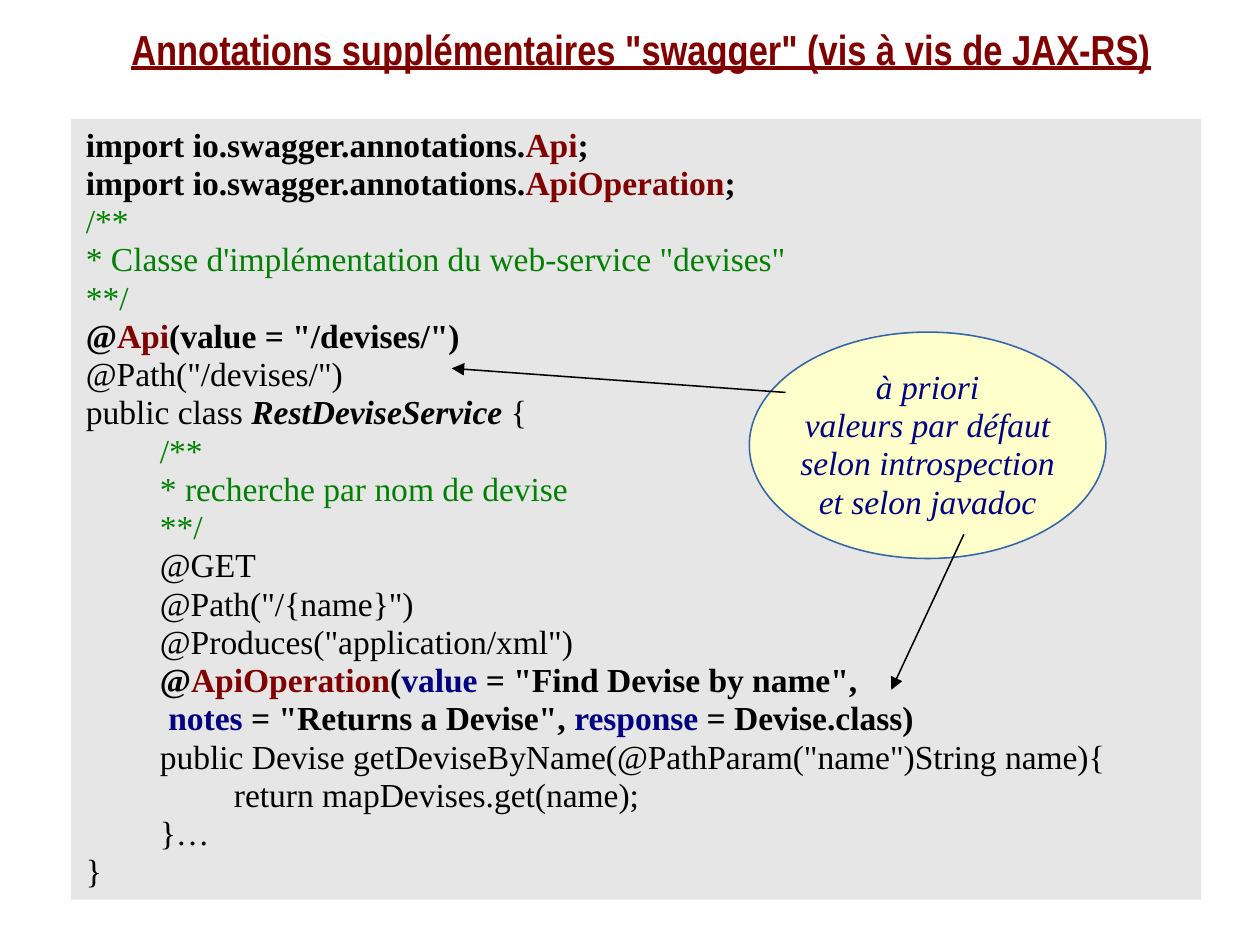
from lxml import etree
from pptx import Presentation, util as u
from pptx.dml.color import RGBColor
from pptx.enum import shapes, text
from pptx.oxml.ns import qn

COLORS = {"black": "000000", "maroon": "800000", "green": "008000", "navy": "000080",
          "grey": "E6E6E6", "cream": "FFFFCC", "blue": "3465A4"}
SERIF = {"name": "Times New Roman", "size": u.Pt(16)}
STYLES = {
    "title": ("maroon", {"name": "Arial Narrow", "size": u.Pt(20), "bold": True, "underline": True}),
    "plain": ("black", SERIF),
    "strong": ("black", {**SERIF, "bold": True}),
    "class": ("black", {**SERIF, "bold": True, "italic": True}),
    "api": ("maroon", {**SERIF, "bold": True}),
    "field": ("navy", {**SERIF, "bold": True}),
    "comment": ("green", SERIF),
    "callout": ("navy", {**SERIF, "italic": True}),
}

TITLE = [(0, [("Annotations supplémentaires \"swagger\" (vis à vis de JAX-RS)", "title")])]
CODE = [
    (0, [("import io.swagger.annotations.", "strong"), ("Api", "api"), (";", "strong")]),
    (0, [("import io.swagger.annotations.", "strong"), ("ApiOperation", "api"), (";", "strong")]),
    (0, [("/**", "comment")]),
    (0, [("* Classe d'implémentation du web-service \"devises\"", "comment")]),
    (0, [("**/", "comment")]),
    (0, [("@", "strong"), ("Api", "api"), ("(value = \"/devises/\")", "strong")]),
    (0, [("@Path(\"/devises/\")", "plain")]),
    (0, [("public class ", "plain"), ("RestDeviseService", "class"), (" {", "plain")]),
    (1, [("/**", "comment")]),
    (1, [("* recherche par nom de devise", "comment")]),
    (1, [("**/", "comment")]),
    (1, [("@GET", "plain")]),
    (1, [("@Path(\"/{name}\")", "plain")]),
    (1, [("@Produces(\"application/xml\")", "plain")]),
    (1, [("@", "strong"), ("ApiOperation", "api"), ("(", "strong"), ("value", "field"),
         (" = \"Find Devise by name\",", "strong")]),
    (1, [(" ", "strong"), ("notes", "field"), (" = \"Returns a Devise\", ", "strong"),
         ("response", "field"), (" = Devise.class)", "strong")]),
    (1, [("public Devise getDeviseByName(@PathParam(\"name\")String name){", "plain")]),
    (2, [("return mapDevises.get(name);", "plain")]),
    (1, [("}…", "plain")]),
    (0, [("}", "plain")]),
]
CALLOUT = [(0, [("à priori\nvaleurs par défaut\nselon introspection\net selon javadoc", "callout")])]

PERCENT = {"title": (10.43, 2.56, 84.53, 8.79), "code": (5.64, 12.62, 89.69, 82.59),
           "callout": (59.47, 35.14, 28.3, 23.96)}
ARROWS = [(62.35, 41.53, 35.85, 38.98), (76.5, 56.55, 70.74, 73)]
INDENT = u.Inches(0.49)

deck = Presentation()
deck.slide_width = u.Inches(8.34)
deck.slide_height = deck.slide_width * 3 // 4
page = deck.slides.add_slide(deck.slide_layouts[6])


def place(shares):
    sizes = (deck.slide_width, deck.slide_height) * 2
    return [round(size * share / 100) for size, share in zip(sizes, shares)]


def color(name):
    return RGBColor.from_string(COLORS[name])


def write(box, lines, margins, **frame_format):
    frame = box.text_frame
    sides = ("margin_left", "margin_top", "margin_right", "margin_bottom")
    frame_format.update(zip(sides, map(u.Inches, margins)))
    for key, value in frame_format.items():
        setattr(frame, key, value)
    for number, (level, spans) in enumerate(lines):
        para = frame.add_paragraph() if number else frame.paragraphs[0]
        para.line_spacing = 0.95
        para.alignment = text.PP_ALIGN.CENTER if lines is CALLOUT else text.PP_ALIGN.LEFT
        if level:
            para._p.get_or_add_pPr().set("marL", str(level * INDENT))
        for words, style in spans:
            shade, font_format = STYLES[style]
            for row, part in enumerate(words.split("\n")):
                if row:
                    para.add_line_break()
                span = para.add_run()
                span.text = part
                span.font.color.rgb = color(shade)
                for key, value in font_format.items():
                    setattr(span.font, key, value)


def add_panel(kind, name, fill, line=None):
    box = page.shapes.add_shape(kind, *place(PERCENT[name]))
    box.shadow.inherit = False
    box.fill.solid()
    box.fill.fore_color.rgb = color(fill)
    if line:
        box.line.color.rgb = color(line)
        box.line.width = u.Pt(0.75)
    else:
        box.line.fill.background()
    return box


def add_arrow(ends):
    arrow = page.shapes.add_connector(shapes.MSO_CONNECTOR.STRAIGHT, *place(ends))
    arrow.line.color.rgb = color("black")
    arrow.line.width = u.Pt(0.75)
    etree.SubElement(arrow.line._get_or_add_ln(), qn("a:tailEnd"), type="triangle")
    etree.SubElement(arrow._element.spPr, qn("a:effectLst"))


top, middle = text.MSO_ANCHOR.TOP, text.MSO_ANCHOR.MIDDLE
padding = (0.1, 0.05, 0.1, 0.05)
heading = page.shapes.add_textbox(*place(PERCENT["title"]))
write(heading, TITLE, (0, 0.02, 0, 0), word_wrap=True, vertical_anchor=top)
listing = add_panel(shapes.MSO_SHAPE.RECTANGLE, "code", "grey")
write(listing, CODE, padding, word_wrap=True, vertical_anchor=top)
bubble = add_panel(shapes.MSO_SHAPE.OVAL, "callout", "cream", "blue")
write(bubble, CALLOUT, padding, word_wrap=False, vertical_anchor=middle)
for ends in ARROWS:
    add_arrow(ends)

deck.save("out.pptx")
